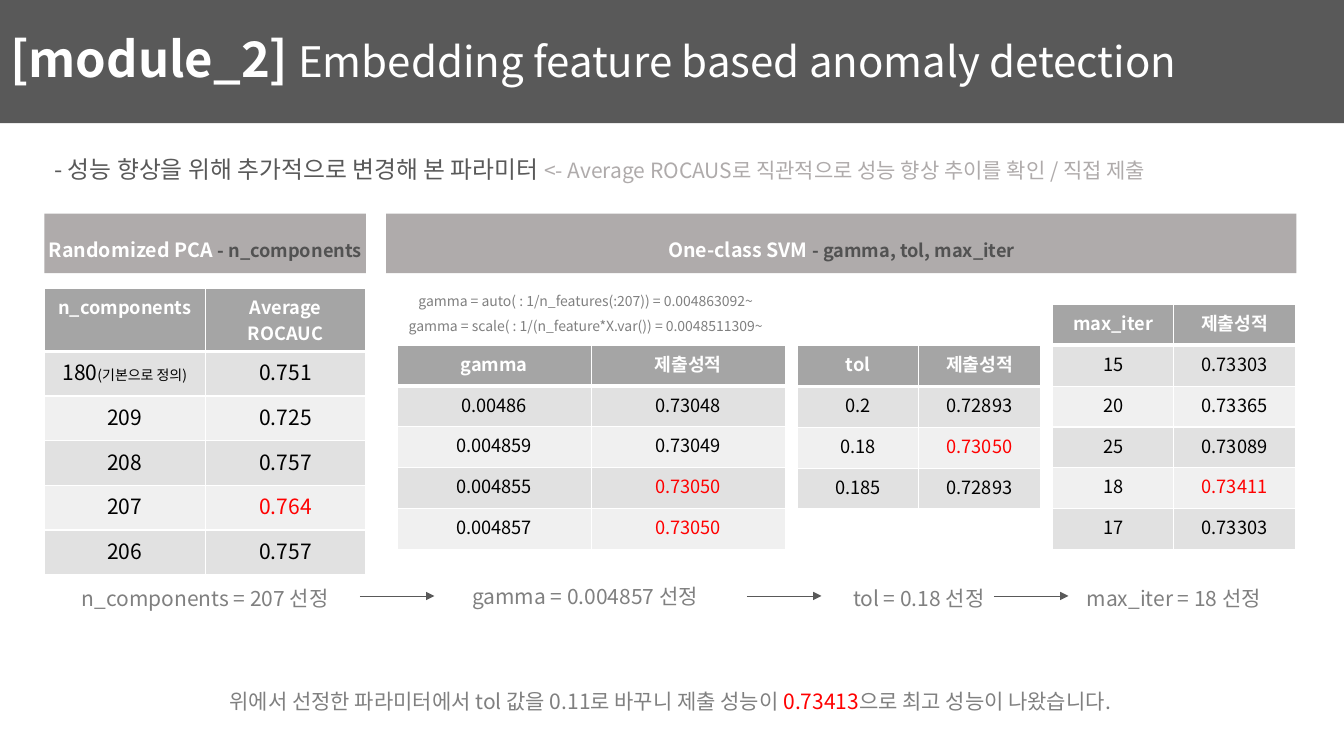
from lxml import etree
from pptx import Presentation
from pptx.dml.color import RGBColor
from pptx.enum import shapes, text
from pptx.oxml import ns
from pptx.util import Pt

FONT = "Noto Sans CJK KR"
C = {
    "dark": "595959", "band": "AFABAB", "param": "525252", "head": "A5A5A5",
    "odd": "E1E1E1", "even": "F0F0F0", "note": "808080",
    "white": "FFFFFF", "black": "000000", "best": "FF0000",
}
LEFT, SVM_LEFT, PCA_W = 31.7, 275.8, 229.7
BEST = ("0.764", "0.73050", "0.73411")


def rgb(name):
    return RGBColor.from_string(C[name])


def add_run(p, content, size=15, color="note", bold=False):
    r = p.add_run()
    r.text = content
    r.font.name, r.font.size, r.font.bold = FONT, Pt(size), bold
    r.font.color.rgb = rgb(color)
    ea = etree.SubElement(r._r.get_or_add_rPr(), ns.qn("a:ea"))
    ea.set("typeface", FONT)


def write(tf, *lines, align="CENTER", spacing=None, before=None, **fmt):
    """Write one paragraph per line; a line is a string or a list of (text, format) runs."""
    for i, line in enumerate(lines):
        p = tf.add_paragraph() if i else tf.paragraphs[0]
        p.alignment = text.PP_ALIGN[align]
        if spacing:
            p.line_spacing = spacing
        if before is not None:
            p.space_before = Pt(before)
        for content, own in [(line, {})] if isinstance(line, str) else line:
            add_run(p, content, **{**fmt, **own})


def add_title(s):
    title = s.shapes.title
    title.left, title.top, title.width, title.height = Pt(0), Pt(0), Pt(960), Pt(88)
    title.fill.solid()
    title.fill.fore_color.rgb = rgb("dark")
    tf = title.text_frame
    tf.auto_size = text.MSO_AUTO_SIZE.NONE
    tf.vertical_anchor = text.MSO_ANCHOR.MIDDLE
    write(tf, [("[module_2]", {"size": 35, "bold": True}), (" ", {"bold": True}),
               ("Embedding feature based anomaly detection", {})],
          align="LEFT", spacing=0.9, size=30, color="white")


def add_band(s, x, w, method, params):
    sp = s.shapes.add_shape(shapes.MSO_SHAPE.RECTANGLE, Pt(x), Pt(152.6), Pt(w), Pt(42.5))
    sp.shadow.inherit = False
    sp.fill.solid()
    sp.fill.fore_color.rgb = rgb("band")
    sp.line.fill.background()
    tf = sp.text_frame
    tf.margin_left = tf.margin_right = 0
    tf.vertical_anchor = text.MSO_ANCHOR.MIDDLE
    write(tf, [(method, {"size": 14, "color": "white"}),
               (params, {"size": 13, "color": "param"})],
          spacing=1.5, bold=True)


def add_text(s, x, y, w, h, *lines, **fmt):
    tf = s.shapes.add_textbox(Pt(x), Pt(y), Pt(w), Pt(h)).text_frame
    tf.word_wrap = True
    write(tf, *lines, **{"spacing": 1.5, **fmt})


def add_rule(cell, side, width):
    """Draw a white border on one side (lnL, lnR, lnT or lnB) of a cell."""
    tc_pr = cell._tc.get_or_add_tcPr()
    ln = etree.SubElement(tc_pr, ns.qn(f"a:{side}"), w=str(Pt(width)))
    fill = etree.SubElement(ln, ns.qn("a:solidFill"))
    etree.SubElement(fill, ns.qn("a:srgbClr"), val=C["white"])


def add_results(s, x, y, w, rows, row_h, head_h, size=13):
    h = head_h + row_h * (len(rows) - 1)
    table = s.shapes.add_table(len(rows), 2, Pt(x), Pt(y), Pt(w), Pt(h)).table
    for col in table.columns:
        col.width = Pt(w / 2)
    for i, values in enumerate(rows):
        table.rows[i].height = Pt(row_h if i else head_h)
        for j, value in enumerate(values):
            cell = table.cell(i, j)
            for side in ("lnL", "lnR", "lnT", "lnB"):
                heavy = (i, side) in ((0, "lnB"), (1, "lnT"))
                add_rule(cell, side, 3 if heavy else 1)
            cell.fill.solid()
            cell.fill.fore_color.rgb = rgb(("odd" if i % 2 else "even") if i else "head")
            color = "best" if value in BEST else "black"
            fmt = {"size": size, "color": color} if i else {
                "size": 13, "color": "white", "bold": True}
            write(cell.text_frame, value, **fmt)


def add_arrow(s, x, y):
    line = s.shapes.add_connector(shapes.MSO_CONNECTOR.STRAIGHT, Pt(x), Pt(y), Pt(x + 53.3), Pt(y))
    line.line.color.rgb = rgb("dark")
    line.line.width = Pt(0.5)
    tail = etree.SubElement(line.line._get_or_add_ln(), ns.qn("a:tailEnd"))
    tail.set("type", "triangle")
    etree.SubElement(line._element.spPr, ns.qn("a:effectLst"))


def main():
    prs = Presentation()
    prs.slide_width, prs.slide_height = Pt(960), Pt(540)
    s = prs.slides.add_slide(prs.slide_layouts[5])

    add_title(s)
    add_text(s, LEFT, 109.4, 851, 31.7,
             [("- 성능 향상을 위해 추가적으로 변경해 본 파라미터 ", {"size": 17, "color": "dark"}),
              ("<- Average ROCAUS로 직관적으로 성능 향상 추이를 확인 / 직접 제출", {"color": "band"})],
             align="LEFT", spacing=0.9, before=10)
    add_band(s, LEFT, PCA_W, "Randomized PCA ", "- n_components")
    add_band(s, SVM_LEFT, 650.2, "One-class SVM ", "- gamma, tol, max_iter")
    add_text(s, SVM_LEFT, 199.4, 285, 41.8,
             "gamma = auto( : 1/n_features(:207)) = 0.004863092~",
             "gamma = scale( : 1/(n_feature*X.var()) = 0.0048511309~", size=10)

    score = "제출성적"
    pca = [("n_components", "Average ROCAUC"),
           ([("180", {}), ("(기본으로 정의)", {"size": 10})], "0.751"),
           ("209", "0.725"), ("208", "0.757"), ("207", "0.764"), ("206", "0.757")]
    gamma = [("gamma", score), ("0.00486", "0.73048"), ("0.004859", "0.73049"),
             ("0.004855", "0.73050"), ("0.004857", "0.73050")]
    tol = [("tol", score), ("0.2", "0.72893"), ("0.18", "0.73050"), ("0.185", "0.72893")]
    max_iter = [("max_iter", score), ("15", "0.73303"), ("20", "0.73365"),
                ("25", "0.73089"), ("18", "0.73411"), ("17", "0.73303")]

    add_results(s, LEFT, 206.2, PCA_W, pca, 31.9, 44.8, size=15)
    for x, y, w, rows in [(283.7, 246.5, 277.2, gamma), (569.5, 246.8, 173.5, tol),
                          (751.7, 217.4, 173.5, max_iter)]:
        add_results(s, x, y, w, rows, 29.2, 29.2)

    for x, y, w, choice in [(LEFT, 406, PCA_W, "n_components = 207"),
                            (303.1, 404.6, PCA_W, "gamma = 0.004857"),
                            (569.5, 406, 173.5, "tol = 0.18"),
                            (751.7, 406, 173.5, "max_iter = 18")]:
        add_text(s, x, y, w, 31.7, choice + " 선정")
    for x in (257, 533.5, 709.9):
        add_arrow(s, x, 425.7)

    add_text(s, LEFT, 479.5, 894.2, 31.7,
             [("위에서 선정한 파라미터에서 tol 값을 0.11로 바꾸니 제출 성능이 ", {}),
              ("0.73413", {"color": "best"}), ("으로 최고 성능이 나왔습니다.", {})])
    prs.save("out.pptx")


if __name__ == "__main__":
    main()
